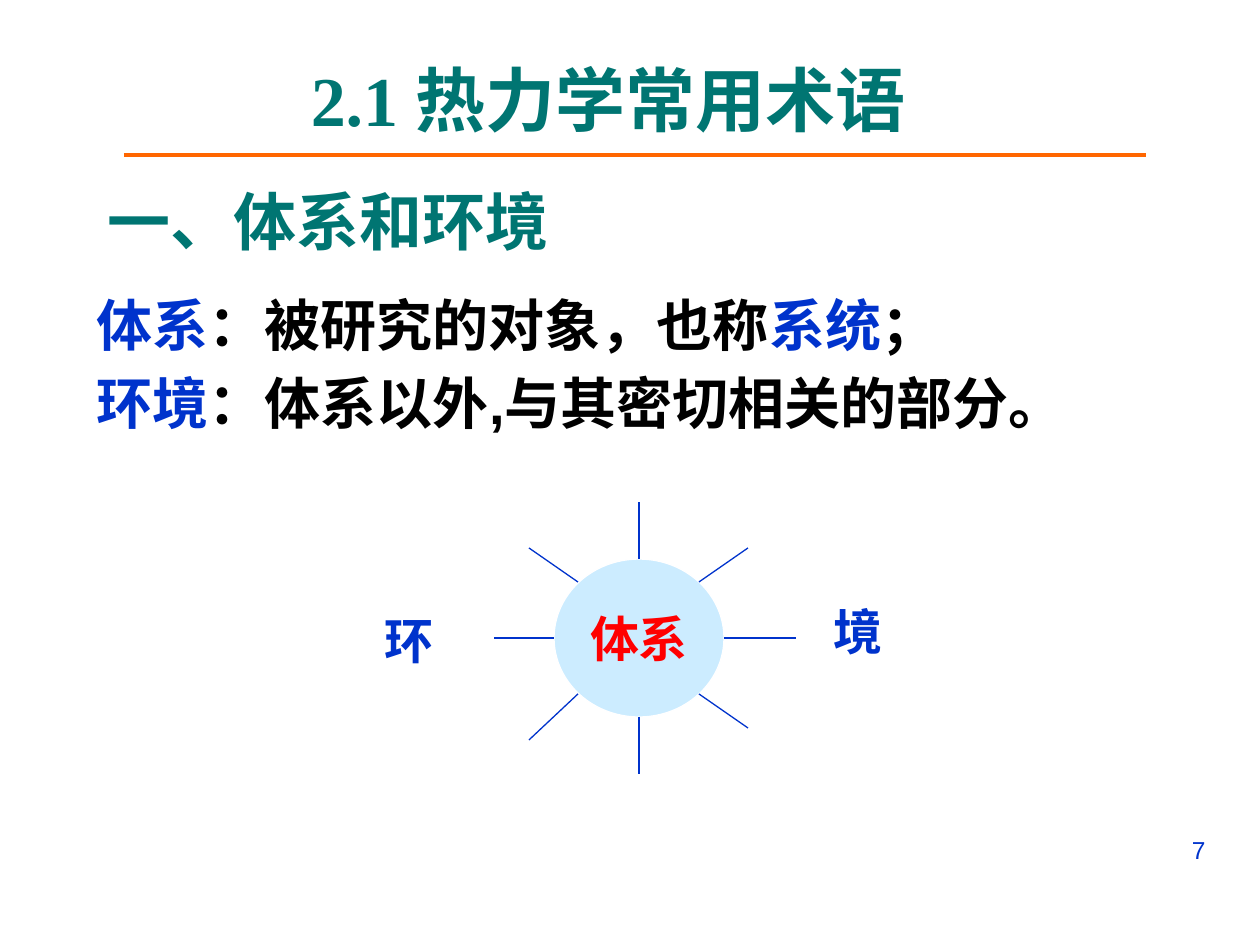
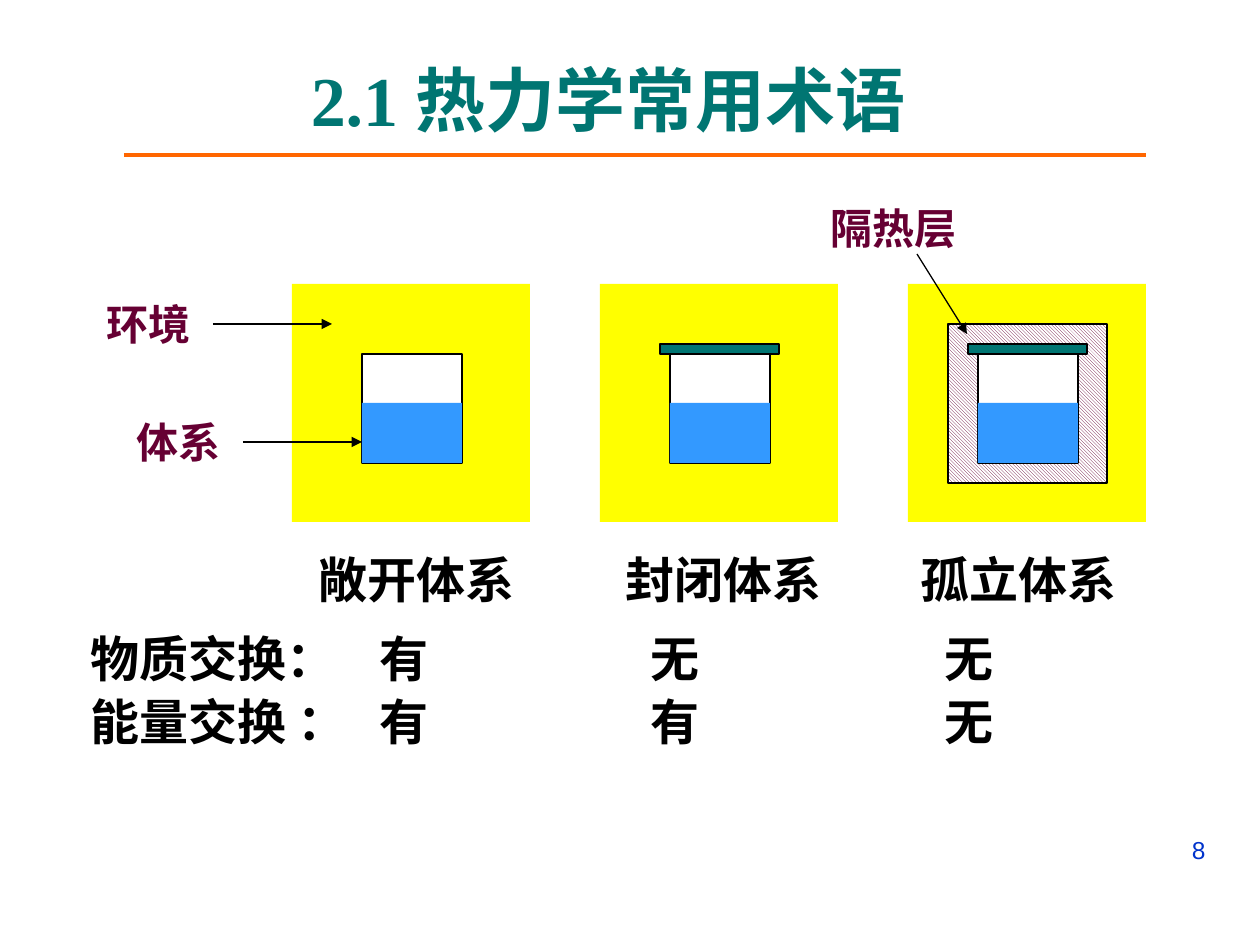
from lxml.etree import SubElement
from pptx import Presentation
from pptx.dml.color import RGBColor
from pptx.enum.dml import MSO_PATTERN
from pptx.enum.shapes import MSO_CONNECTOR, MSO_SHAPE
from pptx.enum.text import MSO_ANCHOR, MSO_AUTO_SIZE, PP_ALIGN
from pptx.oxml.ns import qn
from pptx.util import Pt

PX = 7257  # EMU per px, 126 px to the inch

BLUE = RGBColor(0x00, 0x33, 0xCC)
TEAL = RGBColor(0x00, 0x75, 0x72)
BLACK = RGBColor(0x00, 0x00, 0x00)
WHITE = RGBColor(0xFF, 0xFF, 0xFF)
RED = RGBColor(0xFF, 0x00, 0x00)
ORANGE = RGBColor(0xFF, 0x66, 0x00)
SKY = RGBColor(0xCC, 0xEC, 0xFF)
YELLOW = RGBColor(0xFF, 0xFF, 0x00)
WATER = RGBColor(0x33, 0x99, 0xFF)
PLUM = RGBColor(0x66, 0x00, 0x33)

SERIF, SANS = "Times New Roman", "Arial"
LEFT, MID, RIGHT = PP_ALIGN.LEFT, PP_ALIGN.CENTER, PP_ALIGN.RIGHT


def write(slide, text, box, shape=None, size=28, color=BLACK, face=SERIF,
          bold=True, align=LEFT, anchor=MSO_ANCHOR.TOP, gap=0, line=None,
          hang=0, tabs=(), wrap=True):
    """Write lines into a shape or a new box; text between * turns blue."""
    shape = shape or slide.shapes.add_textbox(0, 0, 0, 0)
    shape.left, shape.top, shape.width, shape.height = [v * PX for v in box]
    frame = shape.text_frame
    frame.auto_size = MSO_AUTO_SIZE.NONE
    frame.word_wrap = wrap
    frame.vertical_anchor = anchor
    for row, words in enumerate(text.split("\n")):
        para = frame.paragraphs[0] if row == 0 else frame.add_paragraph()
        props = para._p.get_or_add_pPr()
        if hang:
            props.set("marL", str(hang * PX))
            props.set("indent", str(-hang * PX))
            SubElement(props, qn("a:buNone"))
        if tabs:
            stops = SubElement(props, qn("a:tabLst"))
            for tab in tabs:
                SubElement(stops, qn("a:tab"), pos=str(tab * PX), algn="l")
        para.alignment = align
        para.space_before = Pt(gap if row else 0)
        if line:
            para.line_spacing = line
        for part, chunk in enumerate(words.split("*")):
            if chunk:
                run = para.add_run()
                run.text = chunk
                font = run.font
                font.name, font.size, font.bold = face, Pt(size), bold
                font.color.rgb = BLUE if part % 2 else color
    return shape


def draw(slide, kind, box, fill, edge=None):
    """Add a flat shape; without an edge colour it has no outline."""
    shape = slide.shapes.add_shape(kind, *[v * PX for v in box])
    shape.shadow.inherit = False
    shape.fill.solid()
    shape.fill.fore_color.rgb = fill
    if edge is None:
        shape.line.fill.background()
    else:
        shape.line.color.rgb = edge
        shape.line.width = Pt(0.75)
    return shape


deck = Presentation()
deck.slide_width, deck.slide_height = 1260 * PX, 945 * PX
terms = deck.slides.add_slide(deck.slide_layouts[1])
kinds = deck.slides.add_slide(deck.slide_layouts[5])
lines = []  # slide, ends, colour, width, arrow, label at the start

# Shared title, rule and page number
for page, slide in enumerate((terms, kinds), 7):
    write(slide, "2.1 热力学常用术语", (73, 32, 1070, 134),
          shape=slide.shapes.title, size=40, color=TEAL, align=MID,
          anchor=MSO_ANCHOR.MIDDLE)
    write(slide, str(page), (903, 829, 315, 66), size=14, color=BLUE,
          face=SANS, bold=False, align=RIGHT)
    lines.append((slide, (124, 155, 1146, 155), ORANGE, 2, False, None))

# Slide 7: definitions
write(terms, "一、体系和环境", (95, 175, 1070, 90), size=36, color=TEAL,
      face=SANS, anchor=MSO_ANCHOR.MIDDLE)
write(terms, "*体系*：被研究的对象，也称*系统*；\n"
      "*环境*：体系以外,与其密切相关的部分。", (84, 284, 1071, 189),
      shape=terms.placeholders[1], size=32, face=SANS, gap=6.4, hang=48)

# Slide 7: system with rays into the surroundings
disc = (554, 559, 170, 158)
write(terms, "体系", disc, shape=draw(terms, MSO_SHAPE.OVAL, disc, SKY, WHITE),
      color=RED, align=MID, anchor=MSO_ANCHOR.MIDDLE, wrap=False)
for word, x, y in (("环", 372, 604), ("境", 821, 595)):
    write(terms, word, (x, y, 97, 72), color=BLUE)
rays = ((554, 638, 494, 638), (724, 638, 796, 638),
        (639, 559, 639, 502), (639, 717, 639, 774),
        (578, 582, 529, 548), (699, 582, 748, 548),
        (578, 694, 529, 740), (699, 694, 748, 728))
for ray in rays:
    lines.append((terms, ray, BLUE, 0.75, False, None))

# Slide 8: open, closed and isolated vessels
RECT = MSO_SHAPE.RECTANGLE
top = 284
for col in range(3):
    left = 292 + 308 * col
    draw(kinds, RECT, (left, top, 238, 238), YELLOW)
    if col == 2:
        coat = draw(kinds, RECT, (left + 40, top + 40, 159, 159), WHITE, BLACK)
        coat.fill.patterned()
        coat.fill.pattern = MSO_PATTERN.LIGHT_DOWNWARD_DIAGONAL
        coat.fill.fore_color.rgb = PLUM
        coat.fill.back_color.rgb = WHITE
    draw(kinds, RECT, (left + 70, top + 70, 100, 109), WHITE, BLACK)
    draw(kinds, RECT, (left + 70, top + 119, 100, 60), WATER)
    if col:
        draw(kinds, RECT, (left + 60, top + 60, 119, 10), TEAL, BLACK)

# Slide 8: labels and arrows; a joined arrow leaves the label's right side
labels = (("环境", (84, 292, 129, 64), (213, 324, 332, 324), True),
          ("体系", (114, 410, 129, 64), (243, 442, 362, 442), True),
          ("隔热层", (809, 196, 169, 64), (917, 254, 967, 334), False))
for word, box, ends, joined in labels:
    label = write(kinds, word, box, size=24, color=PLUM, face=SANS, align=MID)
    lines.append((kinds, ends, BLACK, 0.75, True, label if joined else None))

# Slide 8: what each kind exchanges
write(kinds, "敞开体系\t封闭体系\t孤立体系", (306, 552, 917, 63),
      line=0.85, tabs=(307, 602))
write(kinds, "物质交换：\t有\t无\t无\n能量交换 ：\t有\t有\t无",
      (78, 641, 1148, 118), gap=14, line=0.65, tabs=(289, 560, 854))

# All straight lines
for slide, ends, color, width, arrow, label in lines:
    link = slide.shapes.add_connector(MSO_CONNECTOR.STRAIGHT,
                                      *[v * PX for v in ends])
    if label is not None:
        link.begin_connect(label, 3)
    link.line.color.rgb = color
    link.line.width = Pt(width)
    if arrow:
        SubElement(link.line._get_or_add_ln(), qn("a:tailEnd"), type="triangle")
    SubElement(link._element.spPr, qn("a:effectLst"))

deck.save("out.pptx")
